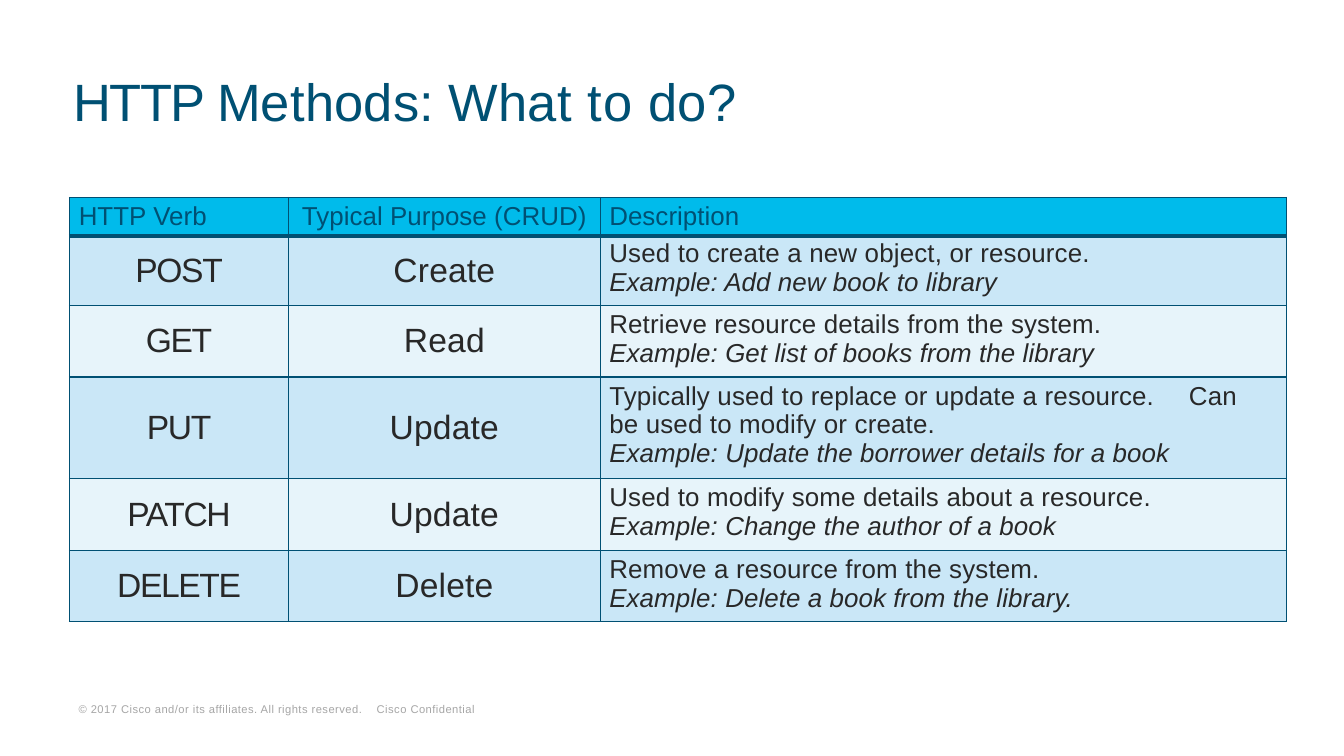
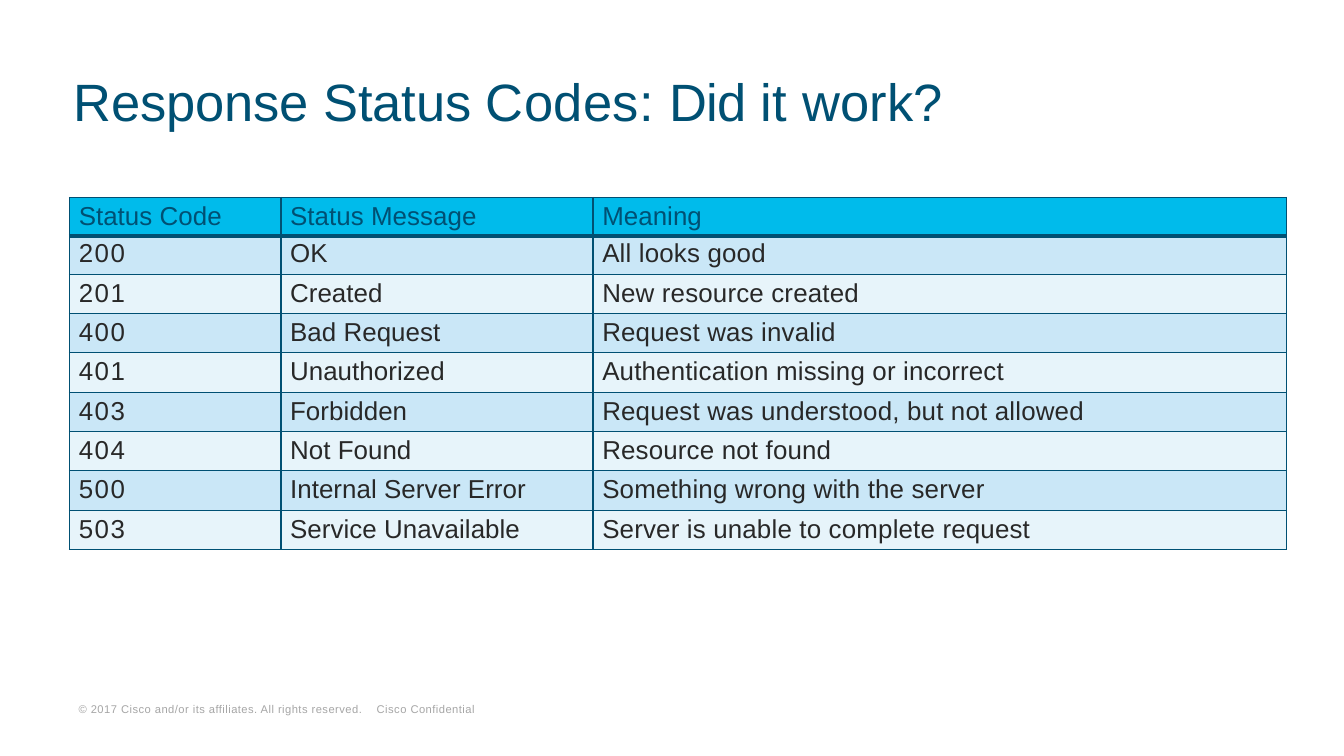
"""Build two reference slides on web methods and response status codes."""
from dataclasses import dataclass

from lxml import etree
from pptx import Presentation
from pptx.dml.color import RGBColor
from pptx.enum import text as enums
from pptx.oxml import ns
from pptx.util import Pt


@dataclass(frozen=True)
class Theme:
    """Colours, font and type sizes shared by the slides."""
    font: str = "Arial"
    navy: str = "005073"
    header: str = "00BBEB"
    bands: tuple = ("CAE7F7", "E7F4FA")
    ink: str = "282828"
    grey: str = "A6A6A6"
    title_size: float = 37.5
    keyword_size: float = 24
    body_size: float = 18.5
    footer_size: float = 8


@dataclass(frozen=True)
class Column:
    """Heading and text format of one table column."""
    heading: str
    width: float
    spacing: float = 0.15
    keyword: bool = False
    heading_centred: bool = False
    tab: float = 0


THEME = Theme()
TABLE_LEFT, TABLE_TOP = 49.7, 141.1
HEADER_HEIGHT = 27.4
FOOTER = "© 2017 Cisco and/or its affiliates. All rights reserved.\tCisco Confidential"

METHOD_COLUMNS = (
    Column("HTTP Verb", 156.5, spacing=-1, keyword=True),
    Column("Typical Purpose (CRUD)", 222.5, keyword=True, heading_centred=True),
    Column("Description", 490.3, tab=414),
)
METHOD_ROWS = (
    ("POST", "Create", ("Used to create a new object, or resource.",
                        "Example: Add new book to library")),
    ("GET", "Read", ("Retrieve resource details from the system.",
                     "Example: Get list of books from the library")),
    ("PUT", "Update", ("Typically used to replace or update a resource.\t"
                       "Can be used to modify or create.",
                       "Example: Update the borrower details for a book")),
    ("PATCH", "Update", ("Used to modify some details about a resource.",
                         "Example: Change the author of a book")),
    ("DELETE", "Delete", ("Remove a resource from the system.",
                          "Example: Delete a book from the library.")),
)
METHOD_HEIGHTS = (49.7, 51.1, 72.7, 51.1, 51.1)

STATUS_COLUMNS = (
    Column("Status Code", 151, spacing=1.1),
    Column("Status Message", 223, spacing=0.05),
    Column("Meaning", 495.3),
)
STATUS_ROWS = (
    ("200", "OK", "All looks good"),
    ("201", "Created", "New resource created"),
    ("400", "Bad Request", "Request was invalid"),
    ("401", "Unauthorized", "Authentication missing or incorrect"),
    ("403", "Forbidden", "Request was understood, but not allowed"),
    ("404", "Not Found", "Resource not found"),
    ("500", "Internal Server Error", "Something wrong with the server"),
    ("503", "Service Unavailable", "Server is unable to complete request"),
)
STATUS_HEIGHTS = (27.4,) + (28.1,) * 7


def write(paragraph, content, *, size, color, spacing=0.0, italic=False,
          centred=False, tab=0):
    """Add a formatted run to a paragraph."""
    align = enums.PP_ALIGN.CENTER if centred else enums.PP_ALIGN.LEFT
    paragraph.alignment = align
    if tab:
        properties = paragraph._p.get_or_add_pPr()
        stops = etree.SubElement(properties, ns.qn("a:tabLst"))
        etree.SubElement(stops, ns.qn("a:tab"), pos=str(Pt(tab)), algn="l")
    run = paragraph.add_run()
    run.text = content
    font = run.font
    font.name, font.size, font.italic = THEME.font, Pt(size), italic
    font.color.rgb = RGBColor.from_string(color)
    run._r.get_or_add_rPr().set("spc", str(round(spacing * 100)))


def add_text_box(slide, left, top, width, height):
    """Add a text box without insets and return its first paragraph."""
    shape = slide.shapes.add_textbox(Pt(left), Pt(top), Pt(width), Pt(height))
    frame = shape.text_frame
    frame.word_wrap = True
    frame.margin_left = frame.margin_right = 0
    frame.margin_top = frame.margin_bottom = 0
    return frame.paragraphs[0]


def add_title(slide, pieces):
    """Add the slide title from pairs of words and letter spacing."""
    paragraph = add_text_box(slide, 52.8, 49, 800, 44)
    for words, spacing in pieces:
        write(paragraph, words, size=THEME.title_size, color=THEME.navy,
              spacing=spacing)


def add_footer(slide):
    """Add the copyright line."""
    paragraph = add_text_box(slide, 56.1, 501.5, 300, 12)
    write(paragraph, FOOTER, size=THEME.footer_size, color=THEME.grey,
          spacing=0.3, tab=213)


def style_cell(cell, fill, *, top=1, bottom=1, inset=3.4, centred=False):
    """Set the borders, fill and insets of a cell."""
    properties = cell._tc.get_or_add_tcPr()
    for side, width in (("L", 1), ("R", 1), ("T", top), ("B", bottom)):
        line = etree.SubElement(properties, ns.qn(f"a:ln{side}"), w=str(Pt(width)))
        solid = etree.SubElement(line, ns.qn("a:solidFill"))
        etree.SubElement(solid, ns.qn("a:srgbClr"), val=THEME.navy)
    cell.fill.solid()
    cell.fill.fore_color.rgb = RGBColor.from_string(fill)
    cell.margin_left = Pt(0 if centred else 6.6)
    cell.margin_right = Pt(0 if centred else 20)
    cell.margin_top, cell.margin_bottom = Pt(inset), 0


def fill_header_cell(cell, column):
    """Style and write a heading cell."""
    style_cell(cell, THEME.header, bottom=3, centred=column.heading_centred)
    write(cell.text_frame.paragraphs[0], column.heading, size=THEME.body_size,
          color=THEME.navy, spacing=0.05, centred=column.heading_centred)


def fill_body_cell(cell, column, content, index):
    """Style and write a body cell, with any second line in italics."""
    first = index == 0
    inset = 0 if column.keyword else 2.4 if first else 3.4
    style_cell(cell, THEME.bands[index % 2], top=3 if first else 1,
               inset=inset, centred=column.keyword)
    if column.keyword:
        cell.vertical_anchor = enums.MSO_ANCHOR.MIDDLE
    lines = (content,) if isinstance(content, str) else content
    frame = cell.text_frame
    for number, line in enumerate(lines):
        paragraph = frame.add_paragraph() if number else frame.paragraphs[0]
        write(paragraph, line, color=THEME.ink,
              size=THEME.keyword_size if column.keyword else THEME.body_size,
              spacing=0.08 if number else column.spacing,
              italic=number > 0, centred=column.keyword,
              tab=column.tab if "\t" in line else 0)


def add_reference_table(slide, columns, rows, row_heights):
    """Add a bordered table with a heading row and alternating bands."""
    heights = (HEADER_HEIGHT, *row_heights)
    width = sum(column.width for column in columns)
    table = slide.shapes.add_table(
        len(heights), len(columns), Pt(TABLE_LEFT), Pt(TABLE_TOP),
        Pt(width), Pt(sum(heights))).table
    table.horz_banding = table.first_row = False
    for row, height in zip(table.rows, heights):
        row.height = Pt(height)
    for position, column in enumerate(columns):
        table.columns[position].width = Pt(column.width)
        fill_header_cell(table.cell(0, position), column)
        for index, row in enumerate(rows):
            fill_body_cell(table.cell(index + 1, position), column,
                           row[position], index)


def add_reference_slide(presentation, title, columns, rows, heights):
    """Add a slide with a title, a table and the footer."""
    slide = presentation.slides.add_slide(presentation.slide_layouts[6])
    add_footer(slide)
    add_reference_table(slide, columns, rows, heights)
    add_title(slide, title)


def main():
    """Build and save the presentation."""
    presentation = Presentation()
    presentation.slide_width, presentation.slide_height = Pt(960), Pt(540)
    add_reference_slide(
        presentation,
        (("HTTP ", -1.4), ("Methods: What ", 0.1), ("to ", 0.7), ("do?", -0.1)),
        METHOD_COLUMNS, METHOD_ROWS, METHOD_HEIGHTS)
    add_reference_slide(
        presentation,
        (("Response Status ", -0.15), ("Codes: ", 0.2), ("Did ", -0.4),
         ("it work?", 0.1)),
        STATUS_COLUMNS, STATUS_ROWS, STATUS_HEIGHTS)
    presentation.save("out.pptx")


if __name__ == "__main__":
    main()
